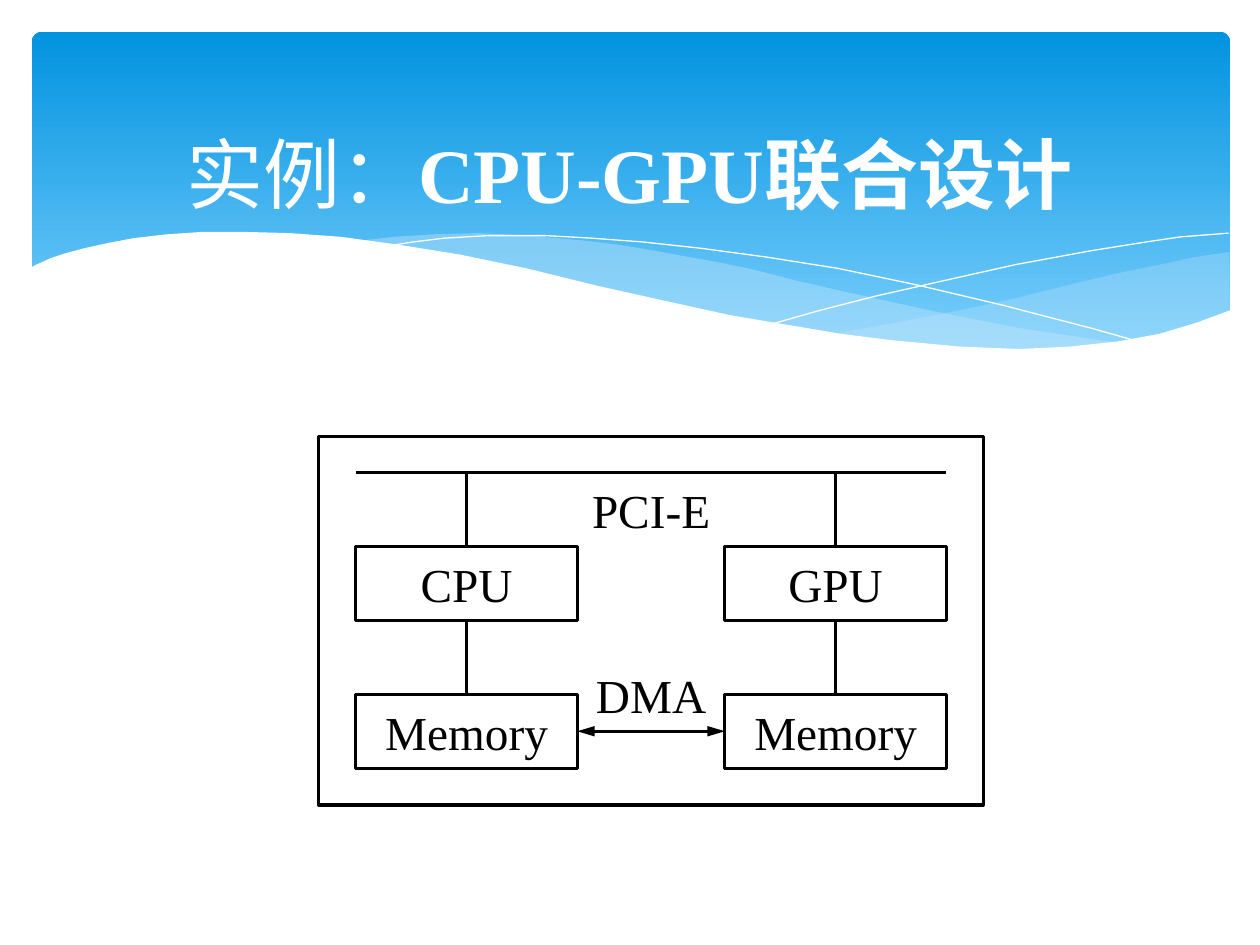
from dataclasses import dataclass

from lxml.etree import SubElement
from pptx import Presentation
from pptx.dml.color import RGBColor
from pptx.enum.shapes import MSO_CONNECTOR as Connector, MSO_SHAPE as Preset
from pptx.enum.text import MSO_ANCHOR as Anchor, PP_ALIGN as Align
from pptx.oxml.ns import qn
from pptx.util import Cm, Pt


@dataclass(frozen=True)
class Theme:
    white: RGBColor = RGBColor(0xFF, 0xFF, 0xFF)
    black: RGBColor = RGBColor(0, 0, 0)
    sky_top: RGBColor = RGBColor(0x02, 0x93, 0xE0)
    sky_bottom: RGBColor = RGBColor(0x83, 0xD3, 0xFE)
    veil: RGBColor = RGBColor(0xC6, 0xE7, 0xFC)
    title_size: Pt = Pt(44)
    label_size: Pt = Pt(27)
    stroke: Pt = Pt(1.75)
    hairline: Pt = Pt(0)
    latin: str = "Times New Roman"
    title_font: str = "Calibri"


theme = Theme()
presentation = Presentation()
presentation.slide_width = Cm(25.4)
presentation.slide_height = Cm(19.05)
slide = presentation.slides.add_slide(presentation.slide_layouts[5])
shapes = slide.shapes

sky = shapes.add_shape(Preset.ROUNDED_RECTANGLE, Cm(0.64), Cm(0.64), Cm(24.16), Cm(6.86))
sky.adjustments[0] = 0.03
sky.shadow.inherit = False
sky.fill.gradient()
sky.fill.gradient_angle = 270
for stop, color in zip(sky.fill.gradient_stops, (theme.sky_top, theme.sky_bottom)):
    stop.color.rgb = color
sky.fill.gradient_stops[0].position = 0
sky.fill.gradient_stops[1].position = 1
sky.line.fill.background()

right_veil = [
    (976, 200), (948, 204), (921, 210), (891, 216), (861, 223), (805, 237), (753, 248),
    (706, 257), (661, 265), (691, 269), (718, 273), (745, 275), (769, 277), (803, 278),
    (835, 277), (863, 275), (889, 272), (913, 267), (935, 262), (949, 257), (976, 247),
]
center_veil = [
    (893, 273), (866, 269), (807, 260), (741, 247), (668, 231), (629, 222), (598, 214),
    (569, 208), (541, 203), (514, 198), (489, 194), (464, 191), (420, 187), (380, 185),
    (344, 186), (313, 188), (286, 191), (323, 196), (362, 203), (404, 211), (449, 222),
    (530, 240), (601, 255), (650, 264), (695, 270), (736, 275), (773, 278), (807, 279),
    (838, 278), (867, 276),
]
falling_curve = [
    (309, 195), (328, 192), (353, 189), (387, 187), (433, 187), (469, 189), (510, 192),
    (556, 197), (608, 204), (665, 213), (727, 226), (795, 242), (868, 261), (907, 272),
]
rising_curve = [
    (613, 257), (652, 246), (695, 235), (748, 223), (806, 210), (866, 199), (910, 192),
    (937, 188), (963, 186), (975, 185),
]
white_wave = [
    (977, 246), (950, 256), (920, 265), (887, 271), (850, 275), (809, 277), (761, 275),
    (708, 270), (668, 265), (626, 258), (579, 250), (529, 239), (475, 227), (418, 213),
    (365, 202), (315, 194), (271, 188), (230, 185), (193, 184), (161, 184), (132, 186),
    (106, 189), (85, 193), (67, 197), (52, 201), (40, 205), (29, 210), (23, 213),
    (23, 329), (977, 329),
]
waves = [
    (right_veil, theme.veil, 29),
    (center_veil, theme.veil, 40),
    (falling_curve, None, None),
    (rising_curve, None, None),
    (white_wave, theme.white, 100),
]
for points, color, opacity in waves:
    builder = shapes.build_freeform(*points[0], scale=Cm(2.54) / 100)
    builder.add_line_segments(points[1:], close=color is not None)
    wave = builder.convert_to_shape()
    wave.shadow.inherit = False
    if color is None:
        wave.fill.background()
        wave.line.color.rgb = theme.white
        wave.line.width = theme.hairline
    else:
        wave.fill.solid()
        wave.fill.fore_color.rgb = color
        wave.line.fill.background()
        tint = wave.element.spPr.find(qn("a:solidFill"))[0]
        SubElement(tint, qn("a:alpha"), val=str(opacity * 1000))

frame_left, frame_top = Cm(6.43), Cm(8.79)
module = Cm(13.39) / 18


def place(column, row):
    return round(frame_left + column * module), round(frame_top + row * module)


def write_label(shape, text):
    frame = shape.text_frame
    frame.margin_left = frame.margin_right = frame.margin_top = frame.margin_bottom = 0
    frame.word_wrap = True
    frame.vertical_anchor = Anchor.MIDDLE
    paragraph = frame.paragraphs[0]
    paragraph.alignment = Align.CENTER
    run = paragraph.add_run()
    run.text = text
    run.font.name = theme.latin
    run.font.size = theme.label_size
    run.font.color.rgb = theme.black


boxes = [
    (0, 0, 18, 10, None),
    (1, 3, 6, 2, "CPU"),
    (11, 3, 6, 2, "GPU"),
    (1, 7, 6, 2, "Memory"),
    (11, 7, 6, 2, "Memory"),
]
for column, row, width, height, text in boxes:
    box = shapes.add_shape(
        Preset.RECTANGLE, *place(column, row), round(width * module), round(height * module)
    )
    box.shadow.inherit = False
    box.line.color.rgb = theme.black
    box.line.width = theme.stroke
    if text:
        box.fill.solid()
        box.fill.fore_color.rgb = theme.white
        write_label(box, text)
    else:
        box.fill.background()

links = [
    (1, 1, 17, 1, False),
    (4, 1, 4, 3, False),
    (14, 1, 14, 3, False),
    (4, 5, 4, 7, False),
    (14, 5, 14, 7, False),
    (7, 8, 11, 8, True),
]
for start_column, start_row, end_column, end_row, has_arrows in links:
    link = shapes.add_connector(
        Connector.STRAIGHT, *place(start_column, start_row), *place(end_column, end_row)
    )
    link.line.color.rgb = theme.black
    link.line.width = theme.stroke
    if has_arrows:
        outline = link.line._get_or_add_ln()
        for end in ("a:headEnd", "a:tailEnd"):
            SubElement(outline, qn(end), type="triangle", w="med", len="lg")
    SubElement(link.element.spPr, qn("a:effectLst"))

for row, text in ((1.25, "PCI-E"), (6.25, "DMA")):
    label = shapes.add_textbox(*place(7, row), round(4 * module), round(1.5 * module))
    write_label(label, text)

title = shapes.title
title.left, title.top, title.width, title.height = Cm(1.27), Cm(2.24), Cm(22.86), Cm(2.49)
title.element.getparent().append(title.element)
title.text_frame.vertical_anchor = Anchor.MIDDLE
paragraph = title.text_frame.paragraphs[0]
paragraph.alignment = Align.CENTER
for text, font_name, bold in (
    ("实例：", theme.title_font, False),
    ("CPU-GPU联合设计", theme.latin, True),
):
    run = paragraph.add_run()
    run.text = text
    run.font.name = font_name
    run.font.bold = bold
    run.font.size = theme.title_size
    run.font.color.rgb = theme.white

presentation.save("out.pptx")
